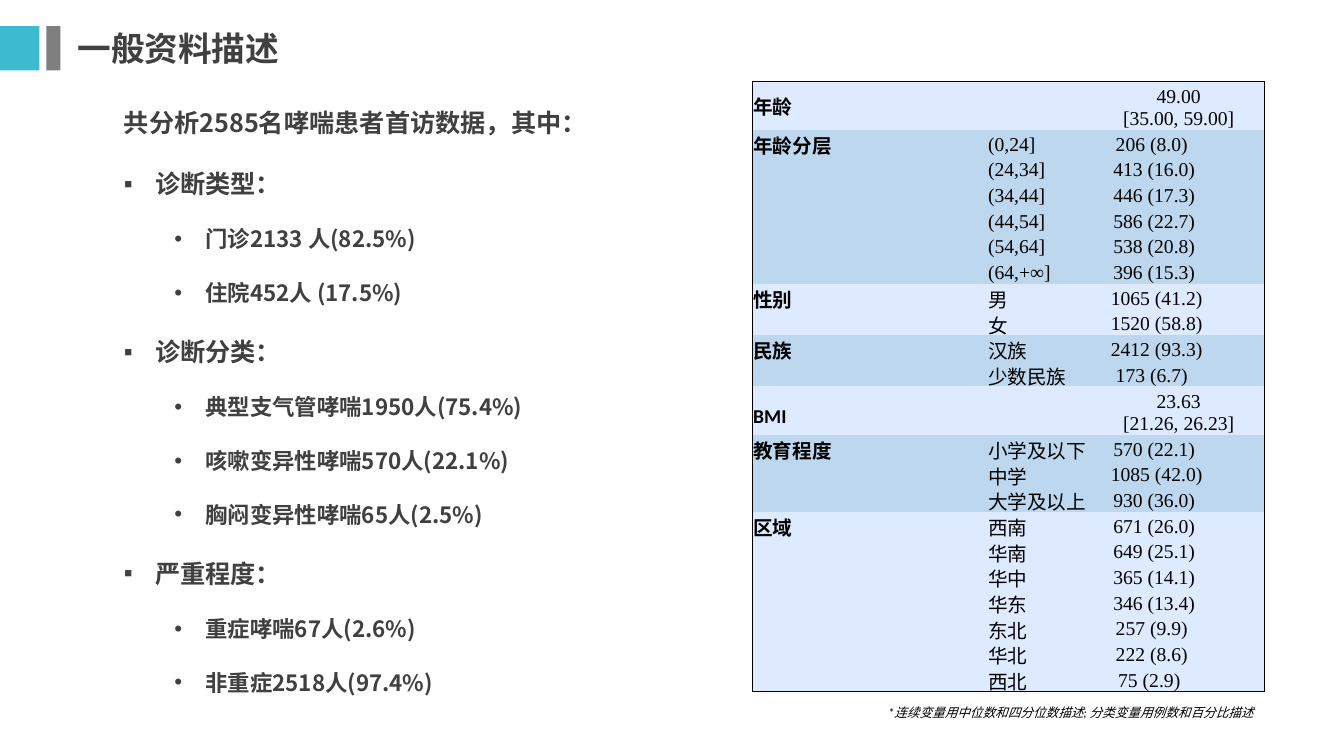
from lxml.etree import SubElement
from pptx import Presentation
from pptx.dml.color import RGBColor
from pptx.enum.shapes import MSO_SHAPE
from pptx.enum.text import MSO_ANCHOR, MSO_AUTO_SIZE, PP_ALIGN
from pptx.oxml.ns import qn
from pptx.util import Inches, Pt

HEADING_FONT = "Noto Sans CJK SC"
NO_STYLE = "{2D5ABB26-0587-4C30-8999-92F81FD0307C}"
GROUP_FILLS = ("DEEAFF", "BDD7EE")
VALUE_CHARS = 21
SPACE_WIDTH = Pt(3.5)

FINDINGS = [
    ("诊断类型：", ["门诊2133 人(82.5%)", "住院452人 (17.5%)"]),
    ("诊断分类：", ["典型支气管哮喘1950人(75.4%)", "咳嗽变异性哮喘570人(22.1%)",
               "胸闷变异性哮喘65人(2.5%)"]),
    ("严重程度：", ["重症哮喘67人(2.6%)", "非重症2518人(97.4%)"]),
]

GROUPS = [
    ("年龄", [("", ["49.00", "[35.00, 59.00]"])]),
    ("年龄分层", [("(0,24]", ["206 (8.0)"]), ("(24,34]", ["413 (16.0)"]),
              ("(34,44]", ["446 (17.3)"]), ("(44,54]", ["586 (22.7)"]),
              ("(54,64]", ["538 (20.8)"]), ("(64,+∞]", ["396 (15.3)"])]),
    ("性别", [("男", ["1065 (41.2)"]), ("女", ["1520 (58.8)"])]),
    ("民族", [("汉族", ["2412 (93.3)"]), ("少数民族", ["173 (6.7)"])]),
    ("BMI", [("", ["23.63", "[21.26, 26.23]"])]),
    ("教育程度", [("小学及以下", ["570 (22.1)"]), ("中学", ["1085 (42.0)"]),
              ("大学及以上", ["930 (36.0)"])]),
    ("区域", [("西南", ["671 (26.0)"]), ("华南", ["649 (25.1)"]),
            ("华中", ["365 (14.1)"]), ("华东", ["346 (13.4)"]),
            ("东北", ["257 (9.9)"]), ("华北", ["222 (8.6)"]),
            ("西北", ["75 (2.9)"])]),
]


def rgb(color):
    """Turn a hex string into a colour."""
    return RGBColor.from_string(color)


def add_run(p, text, size, font, color, bold=False, italic=False):
    """Add one formatted run to a paragraph."""
    r = p.add_run()
    r.text = text
    r.font.size, r.font.name = Pt(size), font
    r.font.bold, r.font.italic = bold, italic
    r.font.color.rgb = rgb(color)
    if font == HEADING_FONT:
        SubElement(r.font._element, qn("a:ea"), typeface=font)


def add_text(s, left, top, width, height):
    """Add a wrapping text box and return its text frame."""
    tf = s.shapes.add_textbox(*map(Inches, (left, top, width, height))).text_frame
    tf.word_wrap = True
    tf.auto_size = MSO_AUTO_SIZE.SHAPE_TO_FIT_TEXT
    return tf


def add_header(s, left, top, width, height):
    """Draw the two accent blocks and the slide title."""
    for x, w, color in ((0, 0.39, "3CBBCE"), (0.46, 0.14, "7F7F7F")):
        sp = s.shapes.add_shape(MSO_SHAPE.RECTANGLE, Inches(left + x), Inches(top + 0.03),
                                Inches(w), Inches(height - 0.06))
        sp.shadow.inherit = False
        sp.fill.solid()
        sp.fill.fore_color.rgb = rgb(color)
        sp.line.fill.background()
    tf = add_text(s, left + 0.67, top, width - 0.67, height)
    add_run(tf.paragraphs[0], "一般资料描述", 24, HEADING_FONT, "404040", bold=True)


def add_bullet(tf, text, level):
    """Add one bulleted paragraph at the given level."""
    p = tf.add_paragraph()
    p.level, p.line_spacing = level, 2.0
    pPr = p._p.get_or_add_pPr()
    pPr.set("marL", str(Inches(0.31 + 0.5 * level)))
    pPr.set("indent", str(Inches(-0.31)))
    SubElement(pPr, qn("a:buFont"), typeface="Arial")
    SubElement(pPr, qn("a:buChar"), char="▪•"[level])
    add_run(p, text, 18 - 2 * level, HEADING_FONT, "404040", bold=True)


def add_findings(s, left, top, width, height):
    """Write the summary and its two-level list."""
    tf = add_text(s, left, top, width, height)
    p = tf.paragraphs[0]
    p.line_spacing = 1.5
    add_run(p, "共分析2585名哮喘患者首访数据，其中：", 18, HEADING_FONT, "404040", bold=True)
    for heading, items in FINDINGS:
        add_bullet(tf, heading, 0)
        for item in items:
            add_bullet(tf, item, 1)


def fill_cell(cell, lines, font, color, bold=False, align=PP_ALIGN.LEFT):
    """Fill a table cell and write its lines."""
    cell.fill.solid()
    cell.fill.fore_color.rgb = rgb(color)
    cell.vertical_anchor = MSO_ANCHOR.BOTTOM
    cell.margin_left = cell.margin_right = cell.margin_top = Inches(0.01)
    cell.margin_bottom = 0
    tf = cell.text_frame
    for i, line in enumerate(lines):
        p = tf.add_paragraph() if i else tf.paragraphs[0]
        p.alignment = align
        if line:
            add_run(p, line, 14, font, "000000", bold)
        else:
            SubElement(p._p, qn("a:endParaRPr"), sz="1400")


def add_border(cell, sides):
    """Draw thin black borders on the named sides of a cell."""
    tcPr = cell._tc.get_or_add_tcPr()
    for i, side in enumerate(sides):
        ln = SubElement(tcPr, qn("a:ln" + side), w=str(Pt(1)))
        SubElement(SubElement(ln, qn("a:solidFill")), qn("a:srgbClr"), val="000000")
        tcPr.insert(i, ln)


def add_profile_table(s, left, top, width, height):
    """Build the patient profile table, shaded by group."""
    rows = [(label if i == 0 else "", name, values, GROUP_FILLS[g % 2])
            for g, (label, entries) in enumerate(GROUPS)
            for i, (name, values) in enumerate(entries)]
    tall = 0.47
    tall_count = sum(len(values) > 1 for _, _, values, _ in rows)
    plain = (height - tall * tall_count) / (len(rows) - tall_count)
    table = s.shapes.add_table(len(rows), 3, *map(Inches, (left, top, width, height))).table
    table.first_row = table.horz_banding = False
    table._tbl.tblPr.find(qn("a:tableStyleId")).text = NO_STYLE
    for column, w in zip(table.columns, (2.33, 1.1, width - 3.43)):
        column.width = Inches(w)
    for i, (label, name, values, color) in enumerate(rows):
        is_tall = len(values) > 1
        table.rows[i].height = Inches(tall if is_tall else plain)
        label_cell, name_cell, value_cell = table.rows[i].cells
        fill_cell(label_cell, [label], "Calibri", color, bold=True)
        fill_cell(name_cell, [name], "Times New Roman", color)
        fill_cell(value_cell, values, "Times New Roman", color, align=PP_ALIGN.CENTER)
        if is_tall:
            label_cell.vertical_anchor = MSO_ANCHOR.MIDDLE
            value_cell.margin_right += SPACE_WIDTH
        else:
            value_cell.margin_right += SPACE_WIDTH * (VALUE_CHARS - len(values[0]))
        if label == "BMI":
            label_cell.text_frame.paragraphs[0].line_spacing = 1.5
        edge = "T" * (i == 0) + "B" * (i == len(rows) - 1)
        for cell, side in ((label_cell, "L"), (name_cell, ""), (value_cell, "R")):
            add_border(cell, side + edge)


def add_footnote(s, left, top, width, height):
    """Write the right-aligned note under the table."""
    p = add_text(s, left, top, width, height).paragraphs[0]
    p.alignment = PP_ALIGN.RIGHT
    add_run(p, "*连续变量用中位数和四分位数描述; 分类变量用例数和百分比描述", 9, "Calibri",
            "000000", italic=True)


def main():
    """Build and save the slide."""
    prs = Presentation()
    prs.slide_width, prs.slide_height = Inches(13.33), Inches(7.5)
    s = prs.slides.add_slide(prs.slide_layouts[6])
    add_header(s, 0, 0.23, 11.26, 0.5)
    add_footnote(s, 8.42, 6.94, 4.11, 0.25)
    add_findings(s, 1.13, 0.87, 4.99, 6.45)
    add_profile_table(s, 7.46, 0.81, 5.08, 6.04)
    prs.save("out.pptx")


if __name__ == "__main__":
    main()
